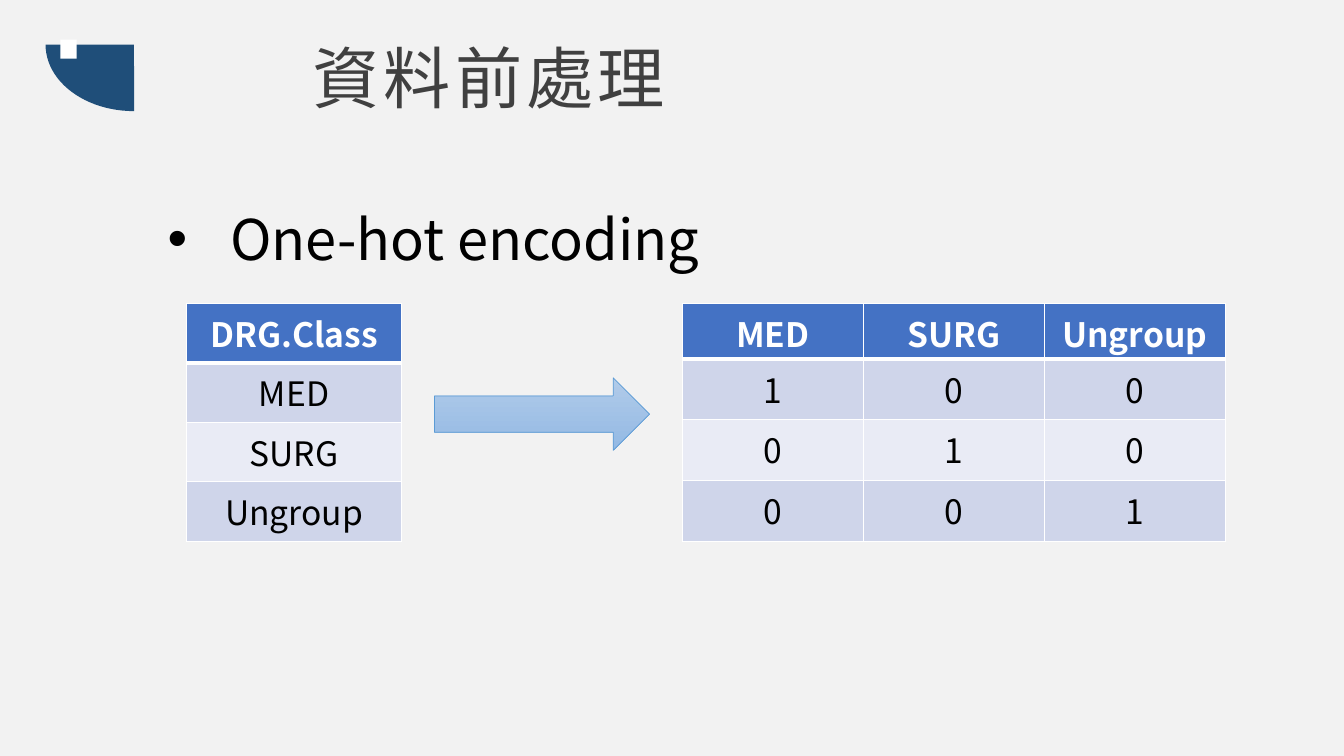
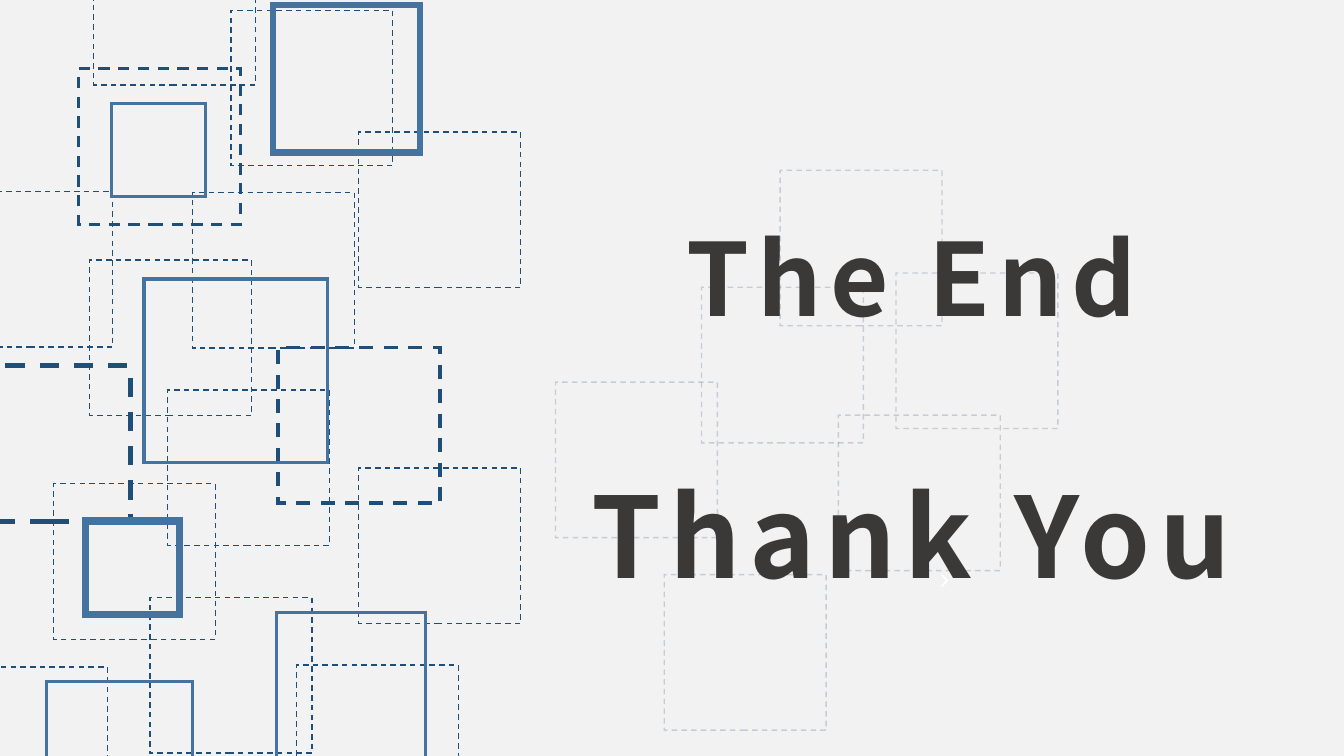
from lxml.etree import SubElement
from pptx import Presentation
from pptx.dml.color import RGBColor
from pptx.enum.dml import MSO_LINE
from pptx.enum.shapes import MSO_SHAPE
from pptx.enum.text import MSO_ANCHOR, MSO_AUTO_SIZE, PP_ALIGN
from pptx.oxml.ns import qn
from pptx.util import Cm, Pt

FONT = "Noto Sans CJK SC"
NAVY, STEEL, WHITE = "1F4E79", "43739E", "FFFFFF"
HEAD, BANDS = "4472C4", ("E9EBF5", "CFD5EA")


def paint(fill, color):
    fill.solid()
    fill.fore_color.rgb = RGBColor.from_string(color)


def write(par, text, size=24, color="000000", bold=False, track=0,
          align=PP_ALIGN.CENTER, gap=0):
    """Add a formatted run; track, gap and size are points."""
    par.alignment, par.line_spacing = align, 1.0
    par.space_before, par.space_after = Pt(gap), Pt(0)
    run = par.add_run()
    run.text = text
    font = run.font
    font.name, font.size, font.bold = FONT, Pt(size), bold
    paint(font.fill, color)
    props = run._r.get_or_add_rPr()
    props.set("spc", str(track * 100))
    SubElement(props, qn("a:ea"), typeface=FONT)


prs = Presentation()
prs.slide_width, prs.slide_height = Cm(33.87), Cm(19.05)
paint(prs.slide_master.background.fill, "F2F2F2")
prep = prs.slides.add_slide(prs.slide_layouts[1])
end = prs.slides.add_slide(prs.slide_layouts[5])

# Placeholders
body = prep.placeholders[1]
for holder, box in (
    (prep.shapes.title, (3.86, 0.79, 16.92, 2.31)),
    (body, (3.97, 5.02, 28, 2.5)),
    (end.shapes.title, (14.07, 5.31, 17.81, 10.19)),
):
    holder.left, holder.top, holder.width, holder.height = map(Cm, box)
    frame = holder.text_frame
    frame.auto_size = MSO_AUTO_SIZE.NONE
    frame.vertical_anchor = MSO_ANCHOR.TOP
    frame.word_wrap = True

write(prep.shapes.title.text_frame.paragraphs[0], "資料前處理",
      size=48, color="404040", track=3)

item = body.text_frame.paragraphs[0]
write(item, "One-hot encoding", size=40, align=PP_ALIGN.LEFT)
props = item._p.get_or_add_pPr()
props.set("marL", str(Cm(1.58)))
props.set("indent", str(-Cm(1.58)))
SubElement(props, qn("a:buFont"), typeface="Arial")
SubElement(props, qn("a:buChar"), char="•")

# Tables before and after encoding
groups = ["MED", "SURG", "Ungroup"]
before = [["DRG.Class"]] + [[name] for name in groups]
after = [groups] + [[str(int(r == c)) for c in range(3)] for r in range(3)]
for rows, left, wide, first, tall in (
    (before, 4.7, 5.42, 1.49, 1.5),
    (after, 17.2, 4.56, 1.4, 1.53),
):
    count = len(rows[0])
    table = prep.shapes.add_table(
        len(rows), count, Cm(left), Cm(7.65),
        Cm(wide * count), Cm(first + tall * 3)).table
    for col in table.columns:
        col.width = Cm(wide)
    for r, row in enumerate(rows):
        table.rows[r].height = Cm(tall if r else first)
        for c, text in enumerate(row):
            cell = table.cell(r, c)
            if r == 0:
                cell.margin_bottom = Cm(0.03)
            props = cell._tc.get_or_add_tcPr()
            for side in "LRTB":
                thick = (r, side) in ((0, "B"), (1, "T"))
                edge = SubElement(props, qn("a:ln" + side),
                                  w=str(Pt(3 if thick else 1)))
                ink = SubElement(edge, qn("a:solidFill"))
                SubElement(ink, qn("a:srgbClr"), val=WHITE)
            paint(cell.fill, BANDS[r % 2] if r else HEAD)
            write(cell.text_frame.paragraphs[0], text, bold=r == 0,
                  color="000000" if r else WHITE)

arrow = prep.shapes.add_shape(
    MSO_SHAPE.RIGHT_ARROW, Cm(10.95), Cm(9.52), Cm(5.42), Cm(1.83))
arrow.shadow.inherit = False
arrow.fill.gradient()
arrow.fill.gradient_angle = 270
for stop, color in zip(arrow.fill.gradient_stops, ("B1CBE9", "93B9E4")):
    stop.color.rgb = RGBColor.from_string(color)
paint(arrow.line.fill, "5B9BD5")
arrow.line.width = Pt(0.5)

# Outlined squares: left, top, line width
faint = [(16.74, 14.48), (14, 9.63), (17.68, 7.24),
         (22.58, 6.88), (21.13, 10.46), (19.66, 4.29)]
dashed = [
    (7.47, 16.76, 1), (9.04, 11.79, 1), (7.01, 8.76, 2.5), (9.04, 3.33, 1),
    (2.36, -1.78, 1), (5.82, 0.26, 1), (2.26, 6.55, 1), (4.22, 9.83, 1),
    (4.85, 4.85, 1), (1.35, 12.19, 1), (3.78, 15.06, 1), (-1.37, 16.81, 1),
    (-0.79, 9.22, 3.5), (-1.24, 4.83, 1), (1.98, 1.73, 2),
]
# Left, top, side, line width
solid = [
    (2.82, 2.6, 2.36, 2.25), (2.16, 13.13, 2.36, 5.25),
    (3.63, 7.03, 4.63, 2.25), (1.17, 17.17, 3.68, 2.25),
    (6.96, 15.44, 3.76, 2.25), (6.88, 0.13, 3.71, 4.75),
]
frames = [(x, y, 4.08, 3.92, 1, NAVY, 22) for x, y in faint]
frames += [(x, y, 4.08, 3.92, w, NAVY, 100) for x, y, w in dashed]
frames += [(x, y, s, s, w, STEEL, 100) for x, y, s, w in solid]
for *box, weight, color, alpha in frames:
    square = end.shapes.add_shape(MSO_SHAPE.RECTANGLE, *map(Cm, box))
    square.shadow.inherit = False
    square.fill.background()
    line = square.line
    paint(line.fill, color)
    line.width = Pt(weight)
    if color == NAVY:
        line.dash_style = MSO_LINE.DASH
    edge = line._get_or_add_ln()
    SubElement(edge, qn("a:miter"), lim="800000")
    if alpha < 100:
        ink = edge.find(".//" + qn("a:srgbClr"))
        SubElement(ink, qn("a:alpha"), val=str(alpha * 1000))

# Closing words stand in front of the squares
title = end.shapes.title
title._element.getparent().append(title._element)
frame = title.text_frame
write(frame.paragraphs[0], "The End", size=72, color="3B3838",
      bold=True, track=6)
write(frame.add_paragraph(), "Thank You", size=80, color="3B3838",
      bold=True, track=6, gap=93)

# Small filled ornaments
for slide, kind, box, color, turn, tweaks in (
    (prep, MSO_SHAPE.PIE, (1.7, -1.1, 3.35, 4.45), NAVY, 270, (107.8, 162)),
    (prep, MSO_SHAPE.RECTANGLE, (1.52, 1, 0.41, 0.48), WHITE, 0, ()),
    (end, MSO_SHAPE.CHEVRON, (23.7, 14.48, 0.2, 0.3), WHITE, 0, (0.69,)),
):
    shape = slide.shapes.add_shape(kind, *map(Cm, box))
    shape.shadow.inherit = False
    shape.rotation = turn
    for i, value in enumerate(tweaks):
        shape.adjustments[i] = value
    paint(shape.fill, color)
    shape.line.fill.background()

prs.save("out.pptx")
